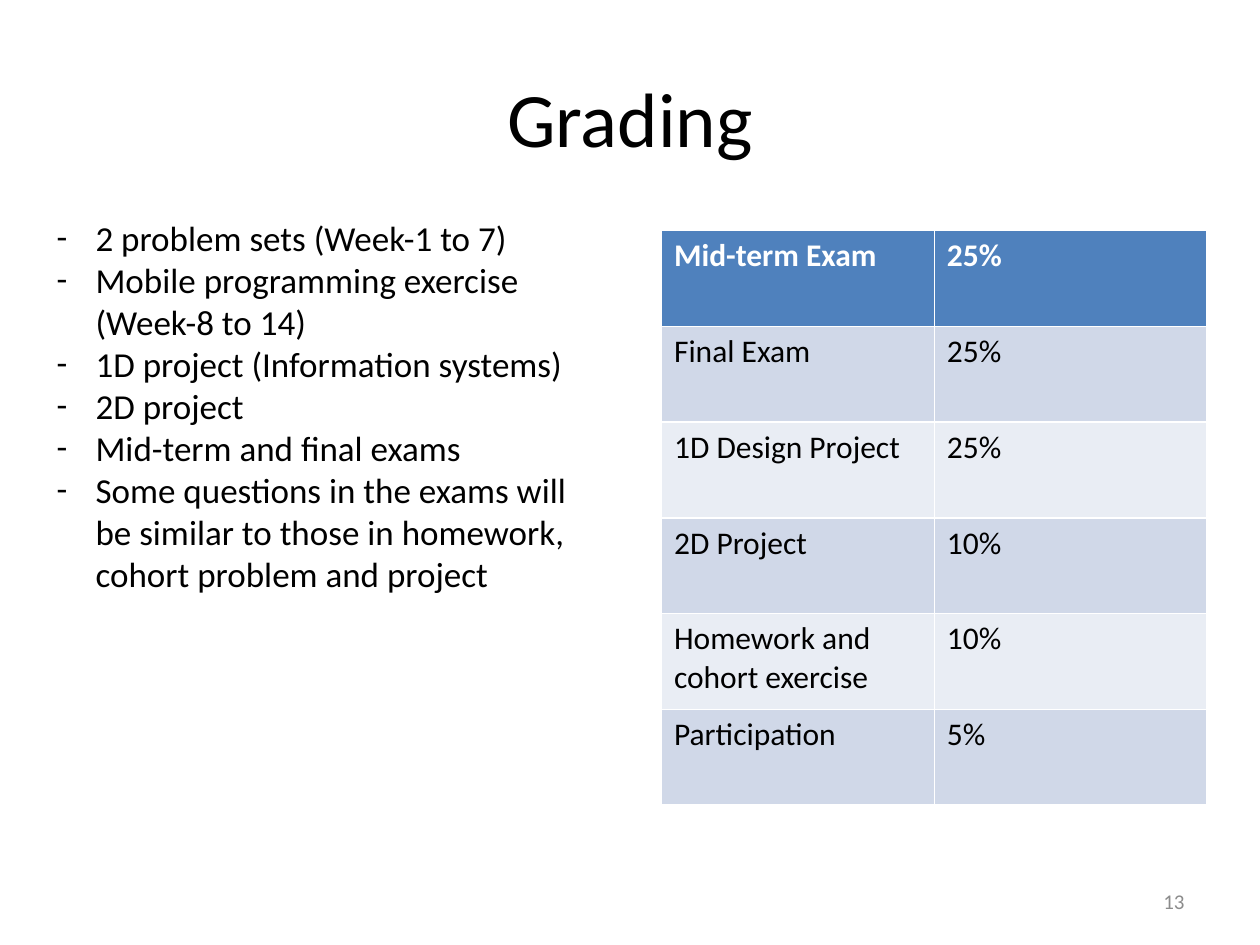
"""Build the course grading slide with assessment notes and a weight table."""
from lxml import etree
from pptx import Presentation
from pptx.dml.color import RGBColor
from pptx.enum.text import MSO_ANCHOR, PP_ALIGN
from pptx.oxml.ns import qn
from pptx.util import Inches, Pt

MIDDLE = MSO_ANCHOR.MIDDLE
LEFT, CENTER, RIGHT = PP_ALIGN.LEFT, PP_ALIGN.CENTER, PP_ALIGN.RIGHT
FONT = "Calibri"
COLORS = {
    "text": "000000",
    "header_text": "FFFFFF",
    "page_number": "8C8C8C",
    "header": "4F81BD",
    "odd_row": "D0D8E8",
    "even_row": "E9EDF4",
}
TITLE_ONLY = 5
INDENT = Inches(0.31)
ROW_HEIGHT = Inches(0.76)

assessments = [
    "2 problem sets (Week-1 to 7)",
    "Mobile programming exercise (Week-8 to 14)",
    "1D project (Information systems)",
    "2D project",
    "Mid-term and final exams",
    "Some questions in the exams will be similar to those in homework, "
    "cohort problem and project",
]
weights = [
    ("Mid-term Exam", "25%"),
    ("Final Exam", "25%"),
    ("1D Design Project", "25%"),
    ("2D Project", "10%"),
    ("Homework and cohort exercise", "10%"),
    ("Participation", "5%"),
]


def write(frame, text, size, color, align=LEFT, bold=False):
    frame.text = text
    frame.word_wrap = True
    for paragraph in frame.paragraphs:
        paragraph.alignment = align
        for run in paragraph.runs:
            run.font.name = FONT
            run.font.size = Pt(size)
            run.font.bold = bold
            run.font.color.rgb = RGBColor.from_string(COLORS[color])


prs = Presentation()
prs.slide_width, prs.slide_height = Inches(10), Inches(7.5)
slide = prs.slides.add_slide(prs.slide_layouts[TITLE_ONLY])

heading = slide.shapes.title
heading.left, heading.top = Inches(0.5), Inches(0.3)
heading.width, heading.height = Inches(9), Inches(1.25)
heading.text_frame.vertical_anchor = MIDDLE
write(heading.text_frame, "Grading", 44, "text", CENTER)

notes = slide.shapes.add_textbox(Inches(0.35), Inches(1.67), Inches(4.58), Inches(3.8))
write(notes.text_frame, "\n".join(assessments), 20, "text")
for paragraph in notes.text_frame.paragraphs:
    properties = paragraph._p.get_or_add_pPr()
    properties.set("marL", str(INDENT))
    properties.set("indent", str(-INDENT))
    etree.SubElement(properties, qn("a:buFont"), typeface=FONT)
    etree.SubElement(properties, qn("a:buChar"), char="-")

page_number = slide.shapes.add_textbox(Inches(7.17), Inches(6.95), Inches(2.33), Inches(0.4))
page_number.text_frame.vertical_anchor = MIDDLE
write(page_number.text_frame, "13", 12, "page_number", RIGHT)

weight_table = slide.shapes.add_table(
    len(weights), 2, Inches(5.25), Inches(1.83), Inches(4.33), ROW_HEIGHT * len(weights)
).table
for row, entries in enumerate(weights):
    is_header = row == 0
    band = "header" if is_header else "odd_row" if row % 2 else "even_row"
    for column, entry in enumerate(entries):
        cell = weight_table.cell(row, column)
        cell.fill.solid()
        cell.fill.fore_color.rgb = RGBColor.from_string(COLORS[band])
        ink = "header_text" if is_header else "text"
        write(cell.text_frame, entry, 18, ink, bold=is_header)

prs.save("out.pptx")
